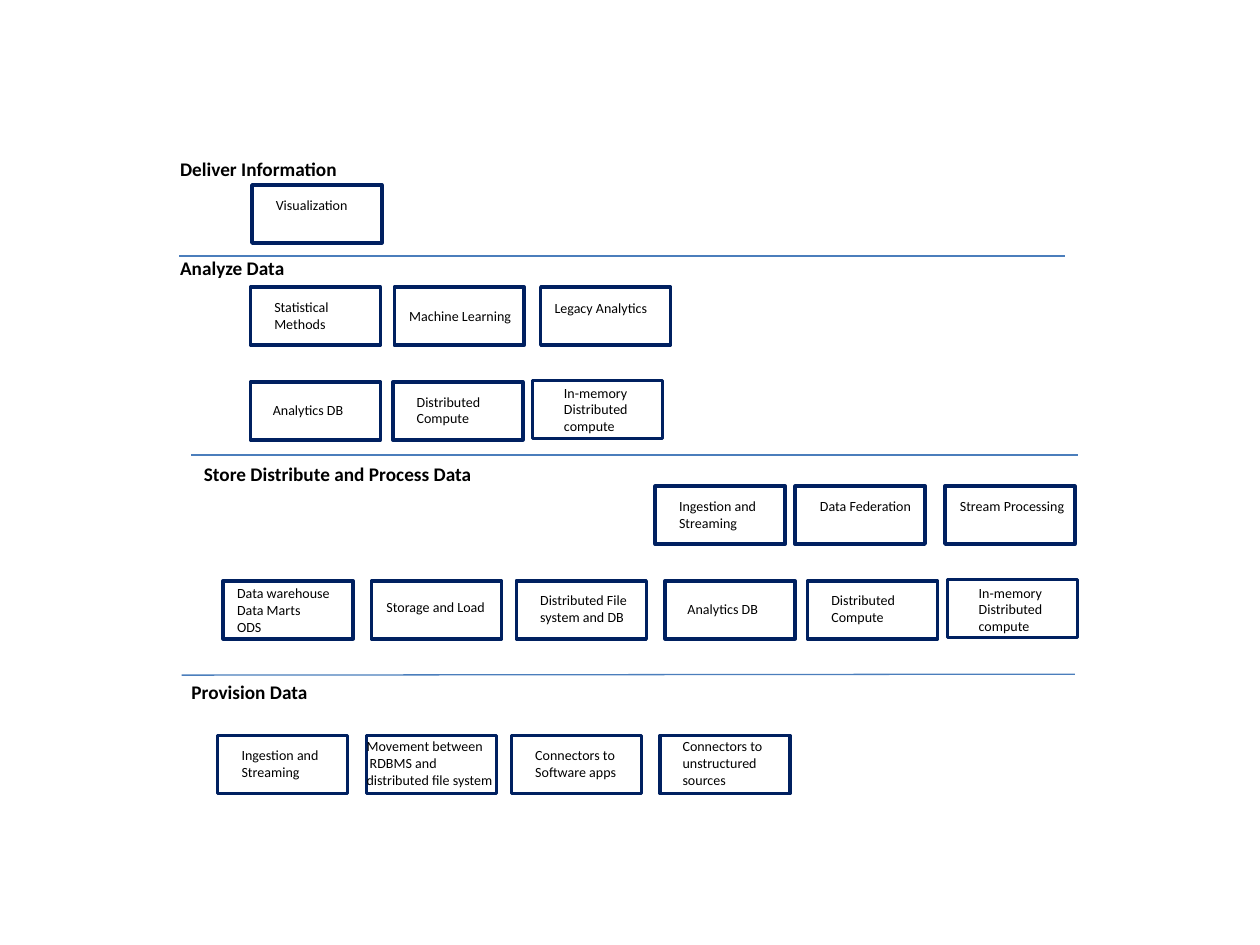
from pptx import Presentation
from pptx import util as u
from pptx.dml.color import RGBColor
from pptx.enum import shapes, text
from pptx.oxml.ns import qn
from lxml import etree

NAVY, BLUE, BLACK = "002060", "4B7EBC", "000000"
BOX_WIDTH, BOX_HEIGHT = 2.62, 1.17

# Section headings: left, top, width, wording
HEADINGS = [
    (3.38, 3.05, 3.71, "Deliver Information"),
    (3.38, 5.05, 2.64, "Analyze Data"),
    (3.86, 9.19, 5.97, "Store Distribute and Process Data"),
    (3.61, 13.59, 2.87, "Provision Data"),
]

# Section dividers: start x, start y, end x, end y
DIVIDERS = [
    (3.61, 5.16, 21.46, 5.16),
    (3.86, 9.17, 21.74, 9.17),
    (3.66, 13.61, 21.67, 13.59),
]

# Rows of boxes: top, then (left, label offset x, label offset y, label width, lines)
ROWS = [
    # Deliver information
    (3.73, [(5.08, 0.23, 0.10, 1.98, ["Visualization"])]),
    # Analyze data
    (5.79, [
        (5.05, 0.23, 0.10, 1.70, ["Statistical", "Methods"]),
        (7.95, 0.05, 0.28, 2.59, ["Machine Learning"]),
        (10.90, 0.03, 0.13, 2.41, ["Legacy Analytics"]),
    ]),
    (7.70, [
        (5.05, 0.20, 0.28, 1.96, ["Analytics DB"]),
        (7.92, 0.23, 0.10, 1.80, ["Distributed", "Compute"]),
    ]),
    (7.67, [(10.74, 0.38, -0.05, 1.88, ["In-memory", "Distributed", "compute"])]),
    # Store, distribute and process data
    (9.80, [
        (13.21, 0.23, 0.10, 2.16, ["Ingestion and", "Streaming"]),
        (16.03, 0.25, 0.10, 2.39, ["Data Federation"]),
        (19.05, 0.05, 0.10, 2.64, ["Stream Processing"]),
    ]),
    (11.71, [
        (4.50, 0.03, -0.05, 2.41, ["Data warehouse", "Data Marts", "ODS"]),
        (7.49, 0.05, 0.23, 2.51, ["Storage and Load"]),
        (10.41, 0.23, 0.10, 2.34, ["Distributed File", "system and DB"]),
        (13.41, 0.20, 0.28, 1.96, ["Analytics DB"]),
        (16.28, 0.23, 0.10, 1.80, ["Distributed", "Compute"]),
    ]),
    (11.68, [(19.10, 0.38, -0.03, 1.88, ["In-memory", "Distributed", "compute"])]),
    # Provision data
    (14.83, [
        (4.39, 0.23, 0.10, 2.16, ["Ingestion and", "Streaming"]),
        (7.39, -0.25, -0.08, 3.10,
         ["Movement between", " RDBMS and", "distributed file system"]),
        (10.31, 0.23, 0.10, 2.21, ["Connectors to", "Software apps"]),
        (13.31, 0.20, -0.08, 2.21, ["Connectors to", "unstructured", "sources"]),
    ]),
]


def colour(code):
    return RGBColor.from_string(code)


class Painter:
    """Holds the style and the current slide."""

    font = "Calibri"
    label_size, heading_size = 8, 11

    def __init__(self, page):
        self.page = page

    def label(self, parent, left, top, width, height, lines, size, bold=False):
        box = parent.add_textbox(u.Cm(left), u.Cm(top), u.Cm(width), u.Cm(height))
        frame = box.text_frame
        frame.word_wrap = False
        frame.auto_size = text.MSO_AUTO_SIZE.SHAPE_TO_FIT_TEXT
        for index, line in enumerate(lines):
            para = frame.add_paragraph() if index else frame.paragraphs[0]
            span = para.add_run()
            span.text = line
            span.font.name = self.font
            span.font.size = u.Pt(size)
            span.font.bold = bold
            span.font.color.rgb = colour(BLACK)

    def heading(self, left, top, width, wording):
        self.label(self.page.shapes, left, top, width, 0.74, [wording],
                   self.heading_size, True)

    def labelled_box(self, left, top, shift_x, shift_y, width, lines):
        group = self.page.shapes.add_group_shape()
        box = group.shapes.add_shape(
            shapes.MSO_SHAPE.RECTANGLE,
            u.Cm(left), u.Cm(top), u.Cm(BOX_WIDTH), u.Cm(BOX_HEIGHT))
        box.shadow.inherit = False
        box.fill.background()
        box.line.color.rgb = colour(NAVY)
        box.line.width = u.Pt(2)
        height = 0.28 + 0.33 * len(lines)
        self.label(group.shapes, left + shift_x, top + shift_y, width, height,
                   lines, self.label_size)

    def divider(self, *ends):
        line = self.page.shapes.add_connector(
            shapes.MSO_CONNECTOR.STRAIGHT, *[u.Cm(end) for end in ends])
        line.line.color.rgb = colour(BLUE)
        line.line.width = u.Pt(0.75)
        etree.SubElement(line._element.spPr, qn("a:effectLst"))


def main():
    deck = Presentation()
    deck.slide_width, deck.slide_height = u.Cm(25.4), u.Cm(19.05)
    painter = Painter(deck.slides.add_slide(deck.slide_layouts[6]))

    # Dividers and headings
    for ends in DIVIDERS:
        painter.divider(*ends)
    for entry in HEADINGS:
        painter.heading(*entry)

    # Capability boxes
    for top, boxes in ROWS:
        for left, *details in boxes:
            painter.labelled_box(left, top, *details)

    deck.save("out.pptx")


if __name__ == "__main__":
    main()
